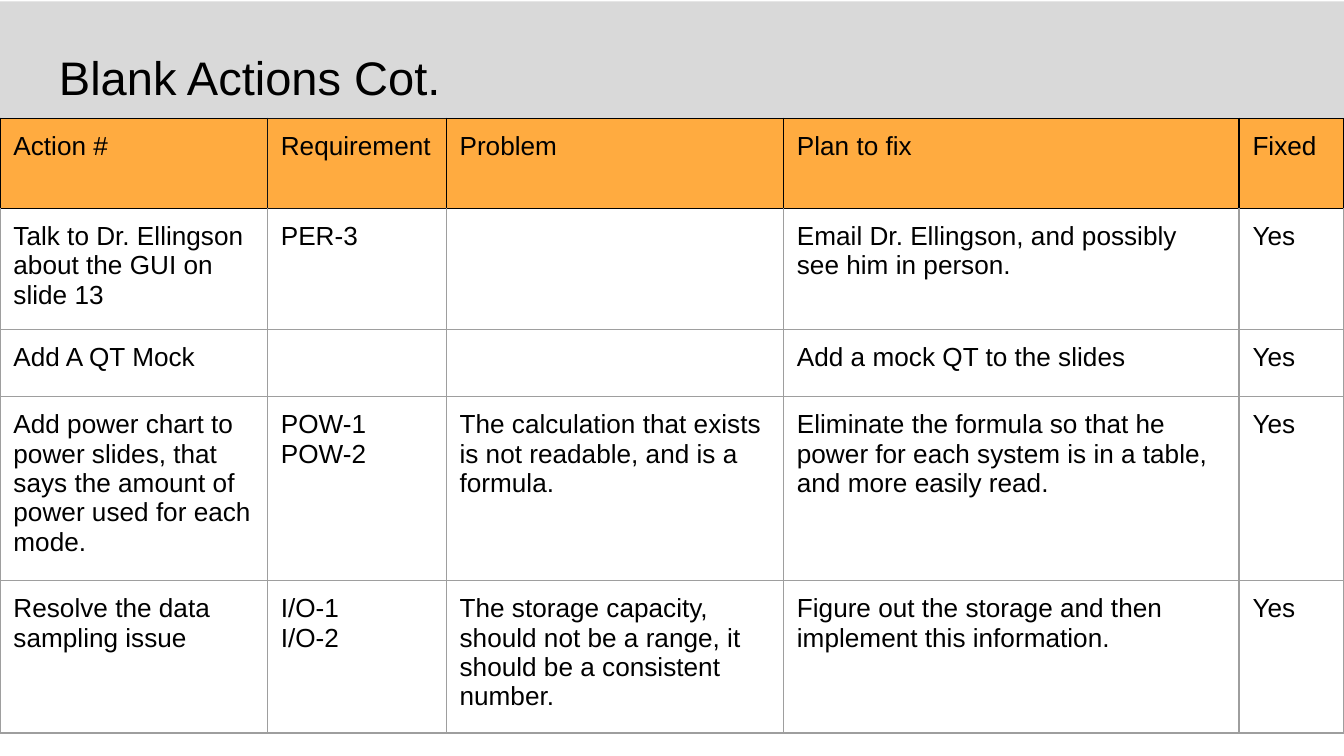
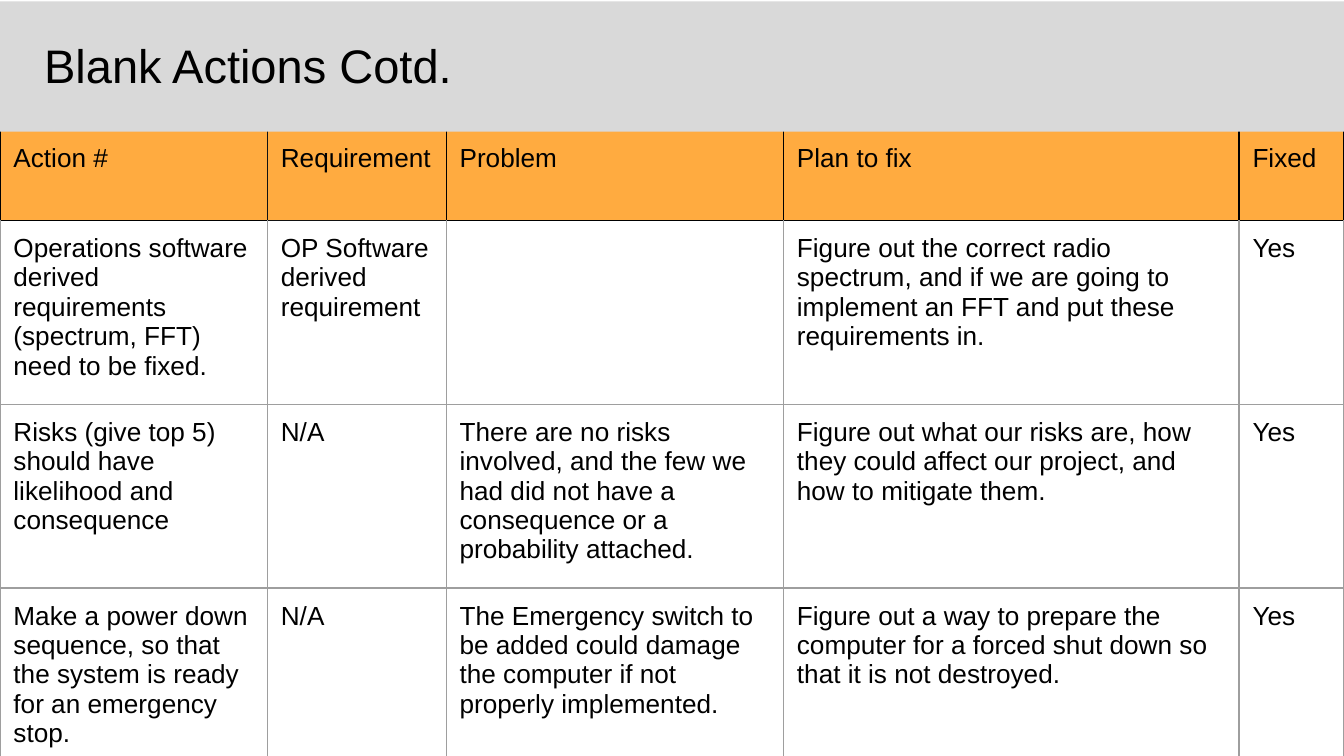
"""Build two slides that list review actions, each with a title band and a table."""
from lxml import etree
from pptx import Presentation
from pptx.dml.color import RGBColor
from pptx.enum.shapes import MSO_SHAPE
from pptx.enum.text import MSO_ANCHOR
from pptx.oxml.ns import qn
from pptx.util import Inches, Pt

RECT = MSO_SHAPE.RECTANGLE
TOP = MSO_ANCHOR.TOP
WIDE = Inches(10)
HIGH = WIDE * 9 // 16
PAD = Inches(0.1)
EDGE = Pt(0.75)
SIDE = Inches(3.28)
HUES = {"band": "D9D9D9", "head": "FFAB40", "ink": "000000",
        "soft": "111111", "grid": "9E9E9E"}
FONTS = {"title": {"name": "Arial", "size": Pt(25.2), "bold": False},
         "cell": {"name": "Arial", "size": Pt(14), "bold": False}}
INSETS = {"margin_left": PAD, "margin_right": PAD, "margin_top": PAD,
          "margin_bottom": PAD, "vertical_anchor": TOP, "word_wrap": True}
COLS = [1.99, 1.33, 2.51, 3.39, 0.78]
ROWS = [0.67, 0.87, 0.43, 1.37, 0.83]
HEAD = ["Action #", "Requirement", "Problem", "Plan to fix", "Fixed"]

PAGES = [
    {"title": "Blank Actions Cot.", "left": 0.34, "top": 0.26,
     "start": 0.88, "order": ["band", "title", "table"],
     "rows": [
         ["Talk to Dr. Ellingson about the GUI on slide 13", "PER-3", "",
          "Email Dr. Ellingson, and possibly see him in person.", "Yes"],
         ["Add A QT Mock", "", "", "Add a mock QT to the slides", "Yes"],
         ["Add power chart to power slides, that says the amount of power "
          "used for each mode.", "POW-1\nPOW-2",
          "The calculation that exists is not readable, and is a formula.",
          "Eliminate the formula so that he power for each system is in a "
          "table, and more easily read.", "Yes"],
         ["Resolve the data sampling issue", "I/O-1\nI/O-2",
          "The storage capacity, should not be a range, it should be a "
          "consistent number.",
          "Figure out the storage and then implement this information.",
          "Yes"]]},
    {"title": "Blank Actions Cotd.", "left": 0.23, "top": 0.17,
     "start": 0.97, "order": ["table", "band", "title"],
     "rows": [
         ["Operations software derived requirements (spectrum, FFT) need to "
          "be fixed.", "OP Software derived requirement", "",
          "Figure out the correct radio spectrum, and if we are going to "
          "implement an FFT and put these requirements in.", "Yes"],
         ["Risks (give top 5) should have likelihood and consequence", "N/A",
          "There are no risks involved, and the few we had did not have a "
          "consequence or a probability attached.",
          "Figure out what our risks are, how they could affect our project, "
          "and how to mitigate them.", "Yes"],
         ["Make a power down sequence, so that the system is ready for an "
          "emergency stop.", "N/A",
          "The Emergency switch to be added could damage the computer if not "
          "properly implemented.",
          "Figure out a way to prepare the computer for a forced shut down "
          "so that it is not destroyed.", "Yes"]]},
]


def style(frame, kind):
    for para in frame.paragraphs:
        for run in para.runs:
            for key, val in FONTS[kind].items():
                setattr(run.font, key, val)
            run.font.color.rgb = RGBColor.from_string(HUES["ink"])
        size = FONTS[kind]["size"] if para.runs else Pt(18)
        end = etree.SubElement(para._p, qn("a:endParaRPr"), sz=str(size.centipoints))
        etree.SubElement(end, qn("a:latin"), typeface="Arial")


def border(cell, hues):
    props = cell._tc.get_or_add_tcPr()
    for spot, (side, hue) in enumerate(hues.items()):
        line = etree.Element(qn("a:ln" + side), w=str(EDGE))
        fill = etree.SubElement(line, qn("a:solidFill"))
        etree.SubElement(fill, qn("a:srgbClr"), val=HUES[hue])
        props.insert(spot, line)


deck = Presentation()
deck.slide_width, deck.slide_height = WIDE, HIGH
for page in PAGES:
    slide = deck.slides.add_slide(deck.slide_layouts[6])
    for part in page["order"]:
        if part == "band":
            band = slide.shapes.add_shape(RECT, 0, Inches(0.01), WIDE, Inches(0.97))
            band.shadow.inherit = False
            band.fill.solid()
            band.fill.fore_color.rgb = RGBColor.from_string(HUES["band"])
            band.line.fill.background()
        elif part == "title":
            box = slide.shapes.add_textbox(Inches(page["left"]), Inches(page["top"]),
                                           Inches(9.32), Inches(0.63))
            for key, val in INSETS.items():
                setattr(box.text_frame, key, val)
            box.text_frame.text = page["title"]
            style(box.text_frame, "title")
        else:
            data = [HEAD] + page["rows"]
            frame = slide.shapes.add_table(len(data), len(COLS), 0,
                                           Inches(page["start"]), SIDE, SIDE)
            table = frame.table
            table.first_row = table.horz_banding = False
            for col, width in zip(table.columns, COLS):
                col.width = Inches(width)
            for row, height in zip(table.rows, ROWS):
                row.height = Inches(height)
            frame.width = frame.height = SIDE
            for r, words in enumerate(data):
                for c, text in enumerate(words):
                    cell = table.cell(r, c)
                    for key, val in INSETS.items():
                        if key != "word_wrap":
                            setattr(cell, key, val)
                    cell.text = text
                    style(cell.text_frame, "cell")
                    dark = "soft" if c == 1 else "ink"
                    hues = dict.fromkeys("LRTB", "grid")
                    if r == 0:
                        cell.fill.solid()
                        cell.fill.fore_color.rgb = RGBColor.from_string(HUES["head"])
                        hues = dict.fromkeys("LRTB", dark)
                        hues["R"] = "soft" if c == 0 else "ink"
                    else:
                        cell.fill.background()
                        if r == 1:
                            hues["T"] = dark
                    border(cell, hues)
deck.save("out.pptx")
